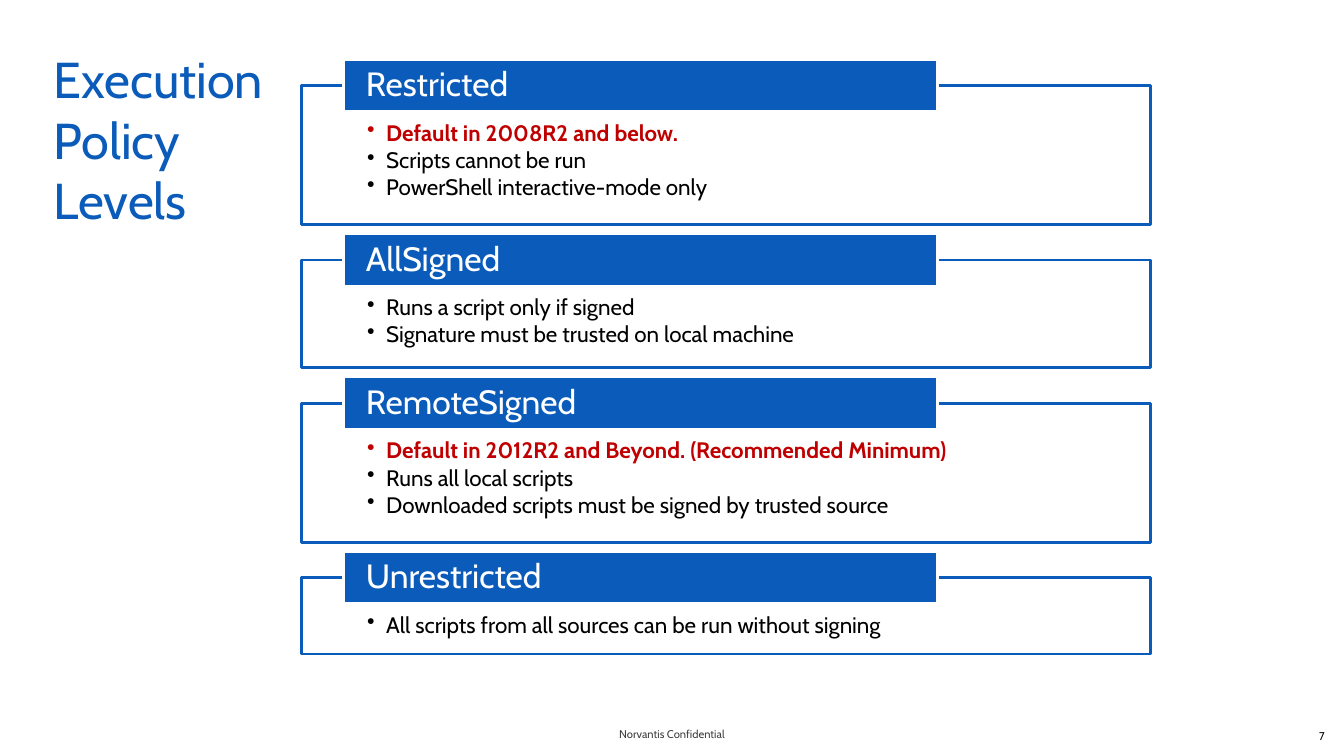
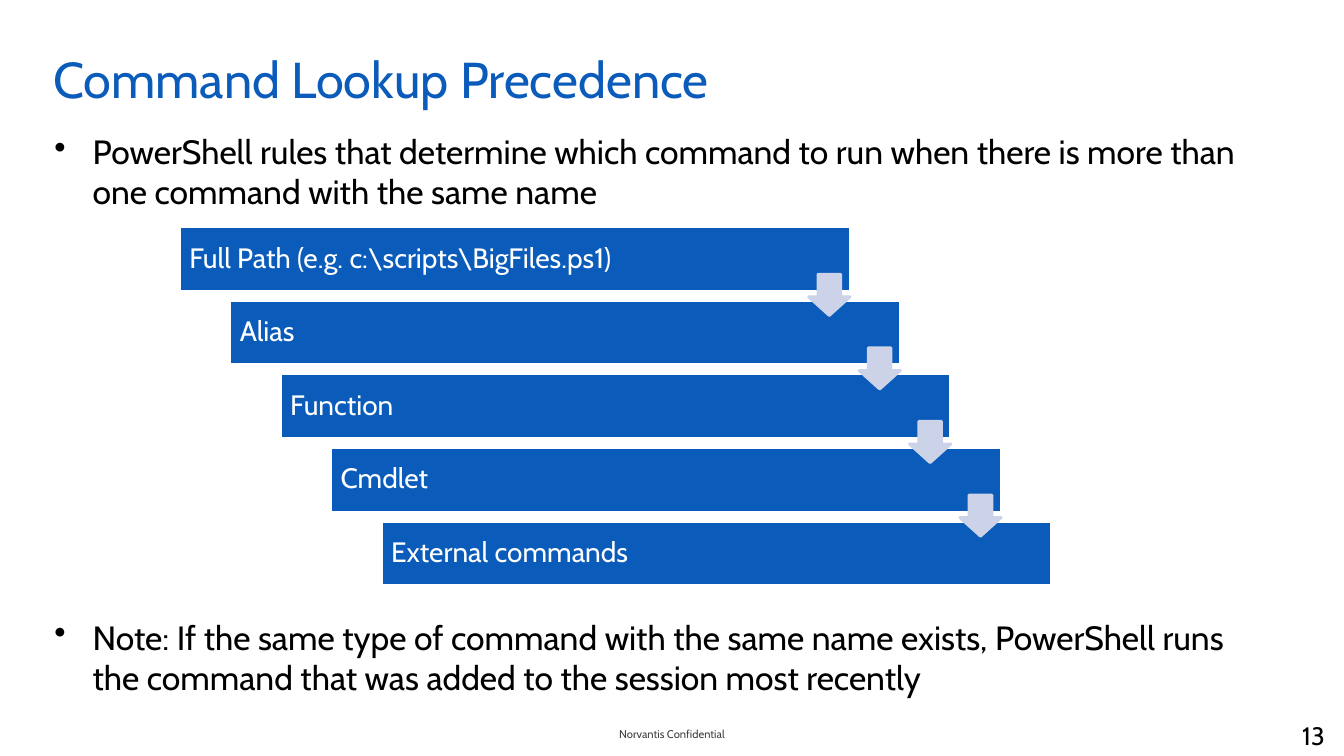
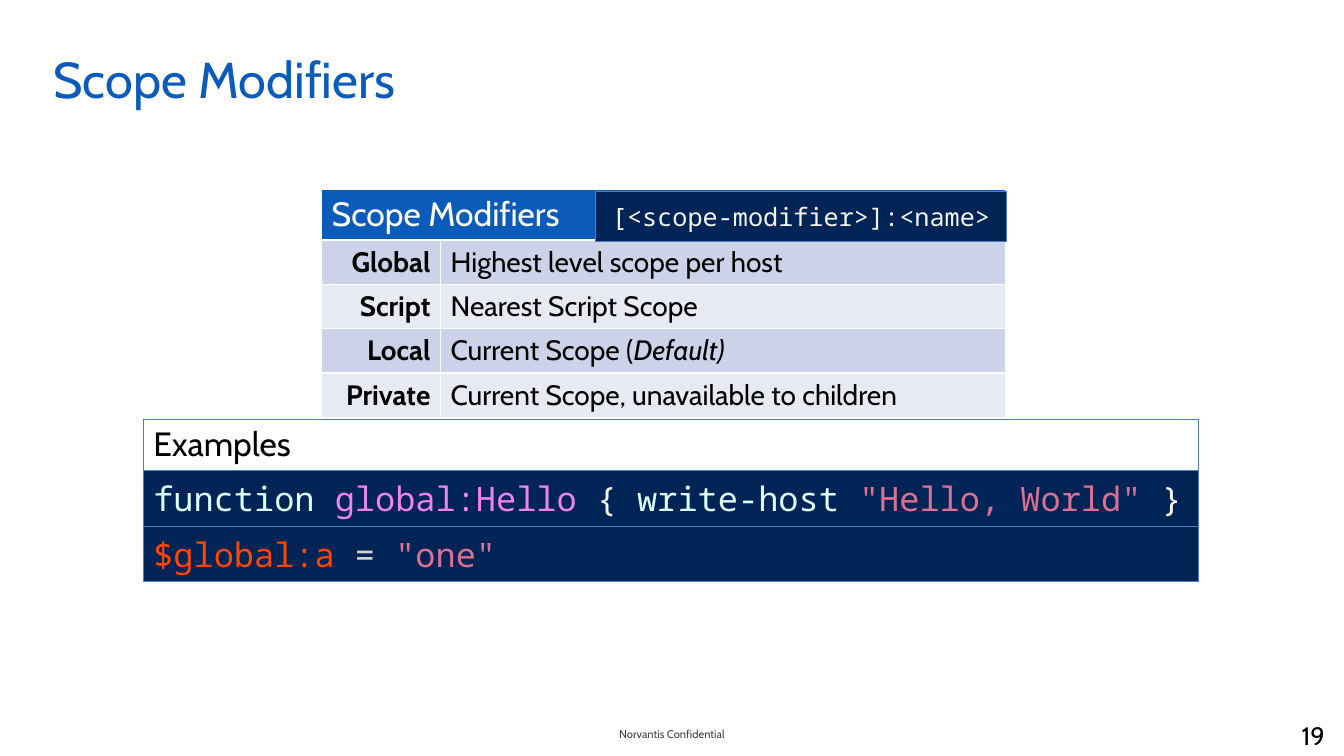
from lxml import etree
from pptx import Presentation
from pptx.dml.color import RGBColor
from pptx.enum.shapes import MSO_SHAPE
from pptx.enum.text import MSO_ANCHOR, PP_ALIGN
from pptx.oxml.ns import qn
from pptx.util import Inches, Pt

RECT, DOWN_ARROW = MSO_SHAPE.RECTANGLE, MSO_SHAPE.DOWN_ARROW
TOP, MIDDLE = MSO_ANCHOR.TOP, MSO_ANCHOR.MIDDLE
LEFT, CENTER, RIGHT = PP_ALIGN.LEFT, PP_ALIGN.CENTER, PP_ALIGN.RIGHT

SANS, MONO = "Cabin", "Noto Sans Mono"
BLUE, NAVY, GRID = "0A5BBA", "012456", "4B7EBC"
LAVENDER, PALE = "CCD2E7", "E7EAF3"
WHITE, BLACK, GREY, RED = "FFFFFF", "000000", "3F3F3F", "C00000"
CYAN, VIOLET, SMOKE = "E0FFFF", "EE82EE", "F5F5F5"
ROSE, ORANGE, SILVER = "DB7093", "FF4500", "D3D3D3"

FOOTER = "Norvantis Confidential"
KEY = {"color": RED, "bold": True}

POLICIES = [
    ("Restricted", [
        [("Default in 2008R2 and below.", KEY)],
        "Scripts cannot be run",
        "PowerShell interactive-mode only",
    ]),
    ("AllSigned", [
        "Runs a script only if signed",
        "Signature must be trusted on local machine",
    ]),
    ("RemoteSigned", [
        [("Default in 2012R2 and Beyond. (Recommended Minimum)", KEY)],
        "Runs all local scripts",
        "Downloaded scripts must be signed by trusted source",
    ]),
    ("Unrestricted", ["All scripts from all sources can be run without signing"]),
]

LOOKUP_NOTES = [
    (1.25, "PowerShell rules that determine which command to run when there is "
           "more than one command with the same name"),
    (6.07, "Note: If the same type of command with the same name exists, PowerShell "
           "runs the command that was added to the session most recently"),
]
LOOKUP_STEPS = ["Full Path (e.g. c:\\scripts\\BigFiles.ps1)", "Alias", "Function",
                "Cmdlet", "External commands"]

SCOPES = [
    ("Global", "Highest level scope per host"),
    ("Script", "Nearest Script Scope"),
    ("Local", [("Current Scope (", {}), ("Default)", {"italic": True})]),
    ("Private", "Current Scope, unavailable to children"),
]
SYNTAX = "[<scope-modifier>]:<name>"
EXAMPLES = [
    [("function ", {"color": CYAN}), ("global:Hello ", {"color": VIOLET}),
     ("{ ", {"color": SMOKE}), ("write-host ", {"color": CYAN}),
     ('"Hello, World" ', {"color": ROSE}), ("}", {"color": SMOKE})],
    [("$global:a ", {"color": ORANGE}), ("= ", {"color": SILVER}),
     ('"one"', {"color": ROSE})],
]


def rgb(color):
    return RGBColor.from_string(color)


def write(tf, paras, size=24, color=BLACK, bold=False, italic=False, font=SANS,
          align=LEFT, spacing=None, before=0, after=0, hang=0):
    base = {"color": color, "bold": bold, "italic": italic}
    for i, runs in enumerate(paras):
        p = tf.add_paragraph() if i else tf.paragraphs[0]
        p.alignment, p.line_spacing = align, spacing
        p.space_before, p.space_after = Pt(before), Pt(after)
        for text, extra in [(runs, {})] if isinstance(runs, str) else runs:
            look = {**base, **extra}
            r = p.add_run()
            r.text = text
            r.font.name, r.font.size = font, Pt(size)
            r.font.bold, r.font.italic = look["bold"], look["italic"]
            r.font.color.rgb = rgb(look["color"])
        if hang:
            pPr = p._p.get_or_add_pPr()
            pPr.set("marL", str(Inches(hang)))
            pPr.set("indent", str(-Inches(hang)))
            etree.SubElement(pPr, qn("a:buChar")).set("char", "•")


def frame(sp, paras, anchor=TOP, inset=(0.1, 0.05, 0.1, 0.05), **fmt):
    tf = sp.text_frame
    tf.word_wrap = True
    tf.vertical_anchor = anchor
    (tf.margin_left, tf.margin_top,
     tf.margin_right, tf.margin_bottom) = map(Inches, inset)
    write(tf, paras, **fmt)


def text_box(s, at, paras, **fmt):
    frame(s.shapes.add_textbox(*map(Inches, at)), paras, **fmt)


def shape(s, kind, at, fill, line):
    sp = s.shapes.add_shape(kind, *map(Inches, at))
    sp.shadow.inherit = False
    sp.fill.solid()
    sp.fill.fore_color.rgb = rgb(fill)
    sp.line.color.rgb = rgb(line)
    sp.line.width = Pt(2)
    return sp


def table(s, left, top, cols, rows):
    tbl = s.shapes.add_table(len(rows), len(cols), Inches(left), Inches(top),
                             Inches(sum(cols)), Inches(sum(rows))).table
    tbl.first_row = tbl.horz_banding = False
    for col, width in zip(tbl.columns, cols):
        col.width = Inches(width)
    for row, height in zip(tbl.rows, rows):
        row.height = Inches(height)
    return tbl


def fill_cell(cell, runs, fill, border, width, **fmt):
    tcPr = cell._tc.get_or_add_tcPr()
    for side in ("a:lnL", "a:lnR", "a:lnT", "a:lnB"):
        ln = etree.SubElement(tcPr, qn(side), w=str(Pt(width)))
        solid = etree.SubElement(ln, qn("a:solidFill"))
        etree.SubElement(solid, qn("a:srgbClr"), val=border)
    cell.fill.solid()
    cell.fill.fore_color.rgb = rgb(fill)
    if runs:
        write(cell.text_frame, [runs], **fmt)


def new_slide(prs, title, number, title_width=12.33, number_size=18):
    s = prs.slides.add_slide(prs.slide_layouts[6])
    edge = {"anchor": MIDDLE, "inset": (0.2, 0.05, 0.2, 0.05)}
    text_box(s, (5.11, 7.08, 3.11, 0.4), [FOOTER], size=8, color=GREY, align=CENTER, **edge)
    text_box(s, (0.33, 0.33, title_width, 0.75), [title], size=36, color=BLUE,
             inset=(0.2, 0.15, 0.1, 0.05))
    text_box(s, (10.23, 7.1, 3.11, 0.4), [str(number)], size=number_size, align=RIGHT, **edge)
    return s


def policy_slide(prs):
    s = new_slide(prs, "Execution Policy Levels", 7, title_width=2.6, number_size=8)
    top, gap = 0.85, 0.35
    for name, points in POLICIES:
        height = 0.45 + 0.31 * len(points)
        panel = shape(s, RECT, (2.99, top, 8.42, height), WHITE, BLUE)
        frame(panel, points, inset=(0.65, 0.36, 0.65, 0.12), size=16,
              spacing=0.9, after=2.2, hang=0.19)
        header = shape(s, RECT, (3.41, top - 0.26, 5.89, 0.52), BLUE, WHITE)
        frame(header, [name], anchor=MIDDLE, inset=(0.22, 0, 0.22, 0),
              color=WHITE, spacing=0.9)
        top += height + gap


def lookup_slide(prs):
    s = new_slide(prs, "Command Lookup Precedence", 13)
    for top, note in LOOKUP_NOTES:
        text_box(s, (0.44, top, 12.22, 0.95), [note], before=3, hang=0.38)
    width, size = 6.65, 0.41
    places = [(1.78 + 0.5 * i, 2.25 + 0.73 * i) for i in range(len(LOOKUP_STEPS))]
    for (left, top), step in zip(places, LOOKUP_STEPS):
        bar = shape(s, RECT, (left, top, width, 0.64), BLUE, WHITE)
        frame(bar, [step], anchor=MIDDLE, size=20, color=WHITE, spacing=0.9)
    for left, top in places[:-1]:
        arrow = shape(s, DOWN_ARROW, (left + width - size, top + 0.47, size, size),
                      LAVENDER, LAVENDER)
        arrow.adjustments[0], arrow.adjustments[1] = 0.55, 0.45


def scope_slide(prs):
    s = new_slide(prs, "Scope Modifiers", 19)
    scopes = table(s, 3.19, 1.88, [1.18, 5.6], [0.5] + [0.44] * len(SCOPES))
    scopes.cell(0, 0).merge(scopes.cell(0, 1))
    for col, heading in enumerate(["Scope Modifiers", ""]):
        fill_cell(scopes.cell(0, col), heading, BLUE, WHITE, 1, color=WHITE)
    for row, (name, meaning) in enumerate(SCOPES, 1):
        fill = LAVENDER if row % 2 else PALE
        fill_cell(scopes.cell(row, 0), name, fill, WHITE, 1, size=20, bold=True, align=RIGHT)
        fill_cell(scopes.cell(row, 1), meaning, fill, WHITE, 1, size=20)

    syntax = table(s, 5.91, 1.9, [4.07], [0.5]).cell(0, 0)
    syntax.vertical_anchor = MIDDLE
    fill_cell(syntax, SYNTAX, NAVY, GRID, 0.75, size=18, color=SMOKE, font=MONO, align=CENTER)

    examples = table(s, 1.42, 4.16, [10.47], [0.51] + [0.55] * len(EXAMPLES))
    fill_cell(examples.cell(0, 0), "Examples", WHITE, GRID, 0.75)
    for row, code in enumerate(EXAMPLES, 1):
        fill_cell(examples.cell(row, 0), code, NAVY, GRID, 0.75, font=MONO)


def main():
    prs = Presentation()
    prs.slide_width, prs.slide_height = Inches(13.33), Inches(7.5)
    policy_slide(prs)
    lookup_slide(prs)
    scope_slide(prs)
    prs.save("out.pptx")


if __name__ == "__main__":
    main()
